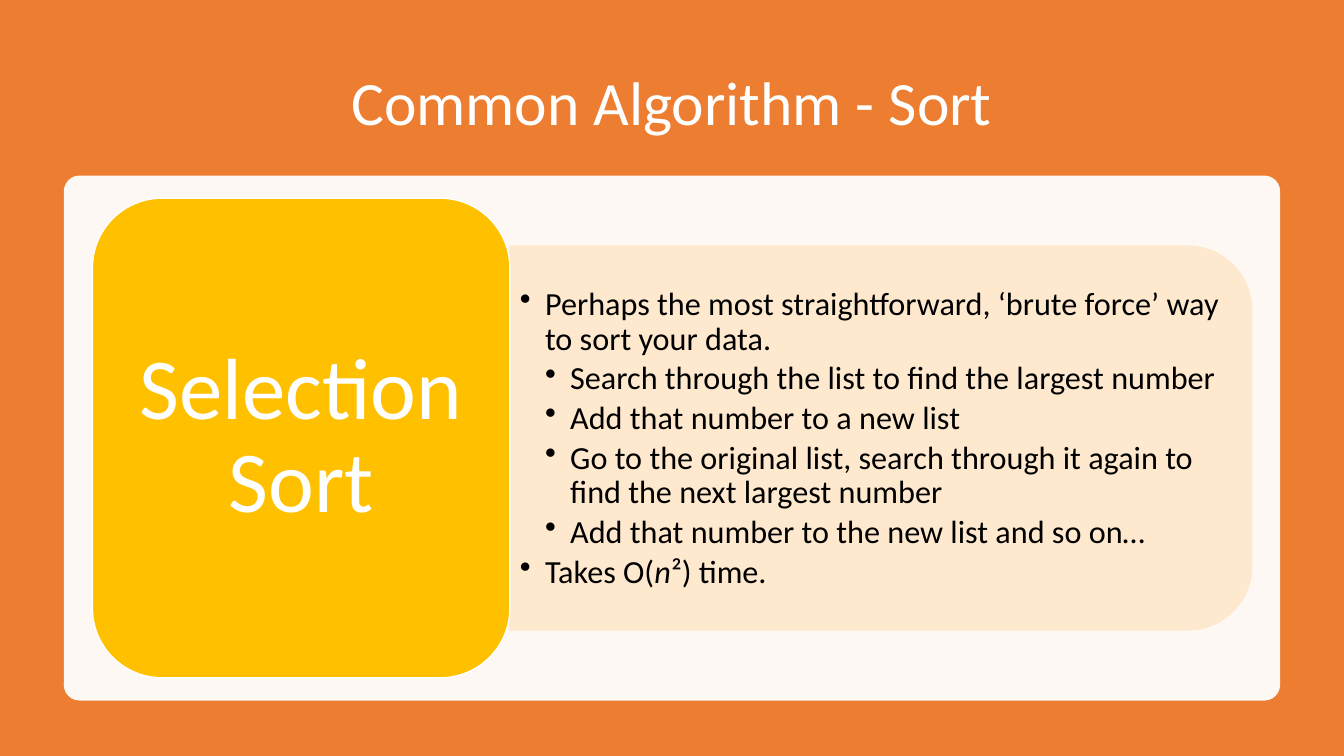
import pptx
import pptx.dml.color
import pptx.enum.shapes
import pptx.enum.text
import pptx.oxml.ns
import pptx.util
from lxml import etree

COLORS = {
    "orange": "ED7D31",
    "white": "FFFFFF",
    "cream": "FFE8CC",
    "gold": "FFC000",
    "black": "000000",
}
FONT = "Calibri"
SLIDE_WIDTH = pptx.util.Inches(13.33)
SLIDE_HEIGHT = pptx.util.Inches(7.5)
COLUMNS, ROWS = 16, 9
BULLET_INDENT = pptx.util.Inches(0.25)
SHAPES = pptx.enum.shapes.MSO_SHAPE

STEPS = [
    (1, [("Perhaps the most straightforward, ‘brute force’ way to sort your data.", False)]),
    (2, [("Search through the list to find the largest number", False)]),
    (2, [("Add that number to a new list", False)]),
    (2, [("Go to the original list, search through it again to find the next largest number", False)]),
    (2, [("Add that number to the new list and so on…", False)]),
    (1, [("Takes O(", False), ("n", True), ("²) time.", False)]),
]


def grid_box(column, row, columns, rows):
    return (
        round(SLIDE_WIDTH * column / COLUMNS),
        round(SLIDE_HEIGHT * row / ROWS),
        round(SLIDE_WIDTH * columns / COLUMNS),
        round(SLIDE_HEIGHT * rows / ROWS),
    )


def rgb(name):
    return pptx.dml.color.RGBColor.from_string(COLORS[name])


def paint(fill, color, opacity=100):
    fill.solid()
    fill.fore_color.rgb = rgb(color)
    if opacity < 100:
        color_element = fill._xPr.find(".//" + pptx.oxml.ns.qn("a:srgbClr"))
        alpha = etree.SubElement(color_element, pptx.oxml.ns.qn("a:alpha"))
        alpha.set("val", str(opacity * 1000))


def add_panel(slide, kind, box, color, opacity=100, outline=None):
    shape = slide.shapes.add_shape(kind, *grid_box(*box))
    shape.shadow.inherit = False
    paint(shape.fill, color, opacity)
    if outline:
        shape.line.width = pptx.util.Pt(1)
        paint(shape.line.fill, outline, opacity)
    else:
        shape.line.fill.background()
    return shape


def add_text_box(slide, box):
    return slide.shapes.add_textbox(*grid_box(*box)).text_frame


def prepare_frame(frame, side=0.1, top=0.05):
    frame.word_wrap = True
    frame.vertical_anchor = pptx.enum.text.MSO_ANCHOR.MIDDLE
    frame.margin_left = frame.margin_right = pptx.util.Inches(side)
    frame.margin_top = frame.margin_bottom = pptx.util.Inches(top)


def write_paragraph(paragraph, runs, size, color, alignment):
    paragraph.alignment = alignment
    paragraph.line_spacing = 0.9
    for text, italic in runs:
        run = paragraph.add_run()
        run.text = text
        run.font.name = FONT
        run.font.size = pptx.util.Pt(size)
        run.font.italic = italic
        run.font.color.rgb = rgb(color)


def write_heading(frame, text, size):
    write_paragraph(frame.paragraphs[0], [(text, False)], size, "white",
                    pptx.enum.text.PP_ALIGN.CENTER)


def write_bullets(frame, items, size):
    for index, (level, runs) in enumerate(items):
        paragraph = frame.add_paragraph() if index else frame.paragraphs[0]
        write_paragraph(paragraph, runs, size, "black", pptx.enum.text.PP_ALIGN.LEFT)
        paragraph.level = level
        paragraph.space_after = pptx.util.Pt(size * 0.15)
        properties = paragraph._p.get_or_add_pPr()
        properties.set("marL", str(BULLET_INDENT * level))
        properties.set("indent", str(-BULLET_INDENT))
        bullet = etree.SubElement(properties, pptx.oxml.ns.qn("a:buChar"))
        bullet.set("char", "•")


def main():
    presentation = pptx.Presentation()
    presentation.slide_width = SLIDE_WIDTH
    presentation.slide_height = SLIDE_HEIGHT
    slide = presentation.slides.add_slide(presentation.slide_layouts[6])

    add_panel(slide, SHAPES.RECTANGLE, (0, 0, COLUMNS, ROWS), "orange")
    title = add_text_box(slide, (1.1, 0.6, 13.8, 1.32))
    prepare_frame(title)
    write_heading(title, "Common Algorithm - Sort", 44)

    backdrop = add_panel(slide, SHAPES.ROUNDED_RECTANGLE, (0.76, 2.09, 14.48, 6.25), "white", 95)
    backdrop.adjustments[0] = 0.03

    steps_panel = add_panel(slide, SHAPES.ROUND_2_SAME_RECTANGLE, (8.2, 0.8, 4.57, 8.83),
                            "cream", 90, "cream")
    steps_panel.rotation = 90
    steps = add_text_box(slide, (6.07, 3.16, 8.6, 4.13))
    prepare_frame(steps)
    write_bullets(steps, STEPS, 23)

    card = add_panel(slide, SHAPES.ROUNDED_RECTANGLE, (1.1, 2.36, 4.97, 5.71),
                     "gold", outline="white")
    prepare_frame(card.text_frame, 0.26, 0.13)
    write_heading(card.text_frame, "Selection Sort", 62)

    presentation.save("out.pptx")


if __name__ == "__main__":
    main()
